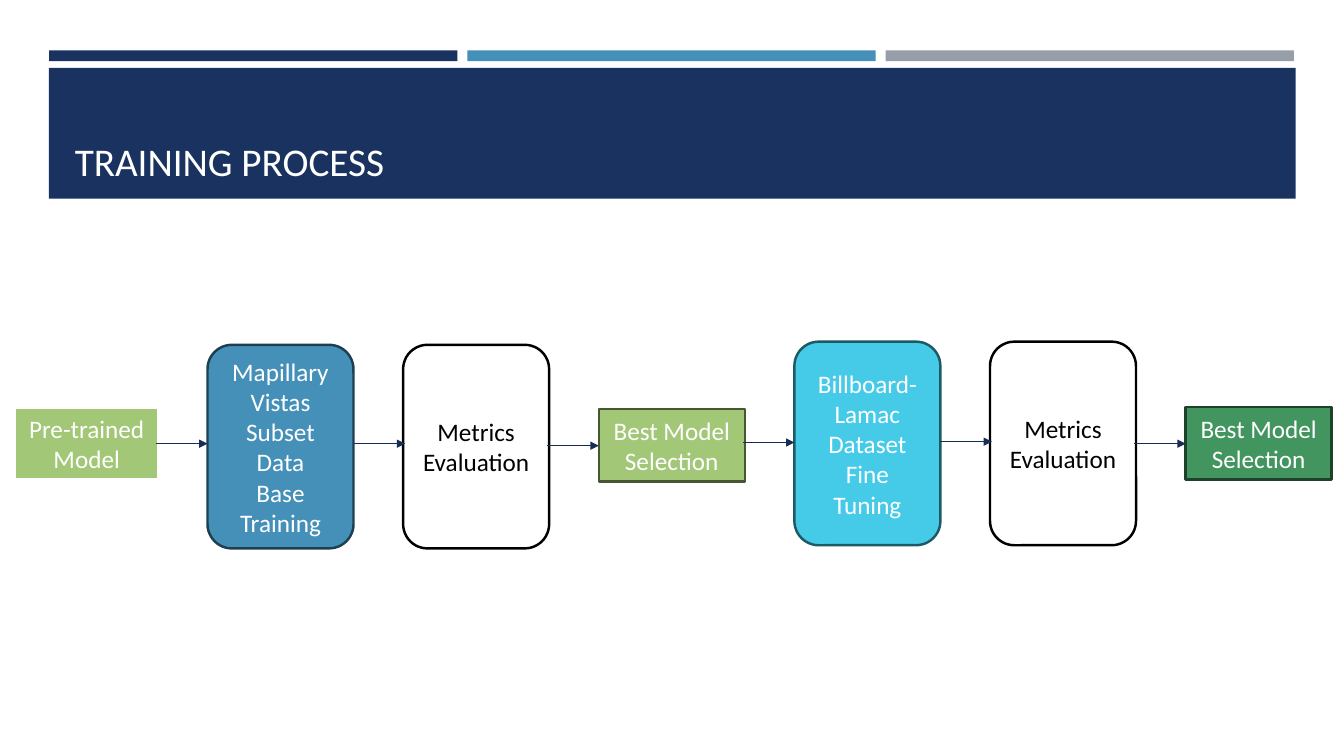
"""Build the slide that shows the training process as a chain of stages."""
from dataclasses import dataclass

from lxml.etree import SubElement
from pptx import Presentation
from pptx.dml.color import RGBColor
from pptx.enum.shapes import MSO_CONNECTOR, MSO_SHAPE
from pptx.enum.text import MSO_ANCHOR, MSO_AUTO_SIZE, PP_ALIGN
from pptx.oxml.ns import qn
from pptx.shapes.autoshape import Shape
from pptx.slide import Slide
from pptx.text.text import TextFrame
from pptx.util import Cm, Pt

NAVY = RGBColor(0x1A, 0x32, 0x60)
ARROW_NAVY = RGBColor(0x17, 0x2D, 0x56)
BLUE = RGBColor(0x45, 0x90, 0xB8)
DARK_BLUE = RGBColor(0x1E, 0x3F, 0x51)
GRAY = RGBColor(0x96, 0x9F, 0xA7)
LIME = RGBColor(0xA2, 0xC7, 0x77)
DARK_LIME = RGBColor(0x47, 0x57, 0x34)
CYAN = RGBColor(0x45, 0xCB, 0xE8)
DARK_CYAN = RGBColor(0x1E, 0x59, 0x66)
GREEN = RGBColor(0x42, 0x95, 0x5F)
DARK_GREEN = RGBColor(0x1D, 0x41, 0x2A)
WHITE = RGBColor(0xFF, 0xFF, 0xFF)
BLACK = RGBColor(0x00, 0x00, 0x00)

FONT = "Calibri"
BOX_WIDTH = 3.68
TASK_HEIGHT = 5.13
MODEL_HEIGHT = 1.83
FIRST_LEFT = 5.23
STAGE_PITCH = 4.93
ARROW_LENGTH = 1.3


@dataclass(frozen=True)
class Stage:
    text: str
    top: float
    arrow_top: float
    fill: RGBColor
    line: RGBColor
    rounded: bool = False
    font_color: RGBColor = WHITE
    arrow_overlap: float = 0


STAGES = [
    Stage("Mapillary Vistas Subset Data\nBase Training", 8.69, 11.18, BLUE, DARK_BLUE, True),
    Stage("Metrics Evaluation", 8.69, 11.18, WHITE, BLACK, True, BLACK, 0.05),
    Stage("Best Model Selection", 10.31, 11.23, LIME, DARK_LIME),
    Stage("Billboard-Lamac Dataset Fine Tuning", 8.61, 11.15, CYAN, DARK_CYAN, True),
    Stage("Metrics Evaluation", 8.61, 11.13, WHITE, BLACK, True, BLACK, 0.05),
    Stage("Best Model Selection", 10.26, 11.18, GREEN, DARK_GREEN),
]


def write_text(frame: TextFrame, text: str, *, size: float = 18, color: RGBColor = WHITE,
               align: PP_ALIGN = PP_ALIGN.CENTER, anchor: MSO_ANCHOR = MSO_ANCHOR.MIDDLE) -> None:
    frame.text = text
    frame.word_wrap = True
    frame.auto_size = MSO_AUTO_SIZE.NONE
    frame.vertical_anchor = anchor
    for paragraph in frame.paragraphs:
        paragraph.alignment = align
        for run in paragraph.runs:
            run.font.name = FONT
            run.font.size = Pt(size)
            run.font.color.rgb = color


def add_box(slide: Slide, left: float, top: float, width: float, height: float, fill: RGBColor, *,
            line: RGBColor | None = None, line_width: float = 1.75, rounded: bool = False) -> Shape:
    preset = MSO_SHAPE.ROUNDED_RECTANGLE if rounded else MSO_SHAPE.RECTANGLE
    shape = slide.shapes.add_shape(preset, Cm(left), Cm(top), Cm(width), Cm(height))
    shape.shadow.inherit = False
    shape.fill.solid()
    shape.fill.fore_color.rgb = fill
    if line is None:
        shape.line.fill.background()
    else:
        shape.line.color.rgb = line
        shape.line.width = Pt(line_width)
    return shape


def add_arrow(slide: Slide, end: float, top: float) -> None:
    connector = slide.shapes.add_connector(
        MSO_CONNECTOR.STRAIGHT, Cm(end - ARROW_LENGTH), Cm(top), Cm(end), Cm(top))
    connector.line.color.rgb = ARROW_NAVY
    connector.line.width = Pt(1)
    SubElement(connector.line._get_or_add_ln(), qn("a:tailEnd"), type="triangle")
    SubElement(connector.element.spPr, qn("a:effectLst"))


def add_header(slide: Slide) -> None:
    for index, color in enumerate((NAVY, BLUE, GRAY)):
        add_box(slide, 1.24 + 10.54 * index, 1.27, 10.29, 0.27, color)
    add_box(slide, 1.23, 1.71, 31.42, 3.3, NAVY)
    title = slide.shapes.title
    title.element.getparent().append(title.element)
    title.left, title.top, title.width, title.height = Cm(1.63), Cm(1.96), Cm(30.63), Cm(2.82)
    write_text(title.text_frame, "TRAINING PROCESS", size=28,
               align=PP_ALIGN.LEFT, anchor=MSO_ANCHOR.BOTTOM)


def add_stage(slide: Slide, stage: Stage, left: float) -> None:
    height = TASK_HEIGHT if stage.rounded else MODEL_HEIGHT
    box = add_box(slide, left, stage.top, BOX_WIDTH, height, stage.fill,
                  line=stage.line, rounded=stage.rounded)
    write_text(box.text_frame, stage.text, color=stage.font_color)
    add_arrow(slide, left + stage.arrow_overlap, stage.arrow_top)


def main() -> None:
    presentation = Presentation()
    presentation.slide_width, presentation.slide_height = Cm(33.87), Cm(19.05)
    slide = presentation.slides.add_slide(presentation.slide_layouts[5])
    add_header(slide)
    start = add_box(slide, 0.38, 10.26, 3.61, MODEL_HEIGHT, LIME, line=WHITE, line_width=2)
    write_text(start.text_frame, "Pre-trained Model")
    for index, stage in enumerate(STAGES):
        add_stage(slide, stage, FIRST_LEFT + STAGE_PITCH * index)
    presentation.save("out.pptx")


if __name__ == "__main__":
    main()
